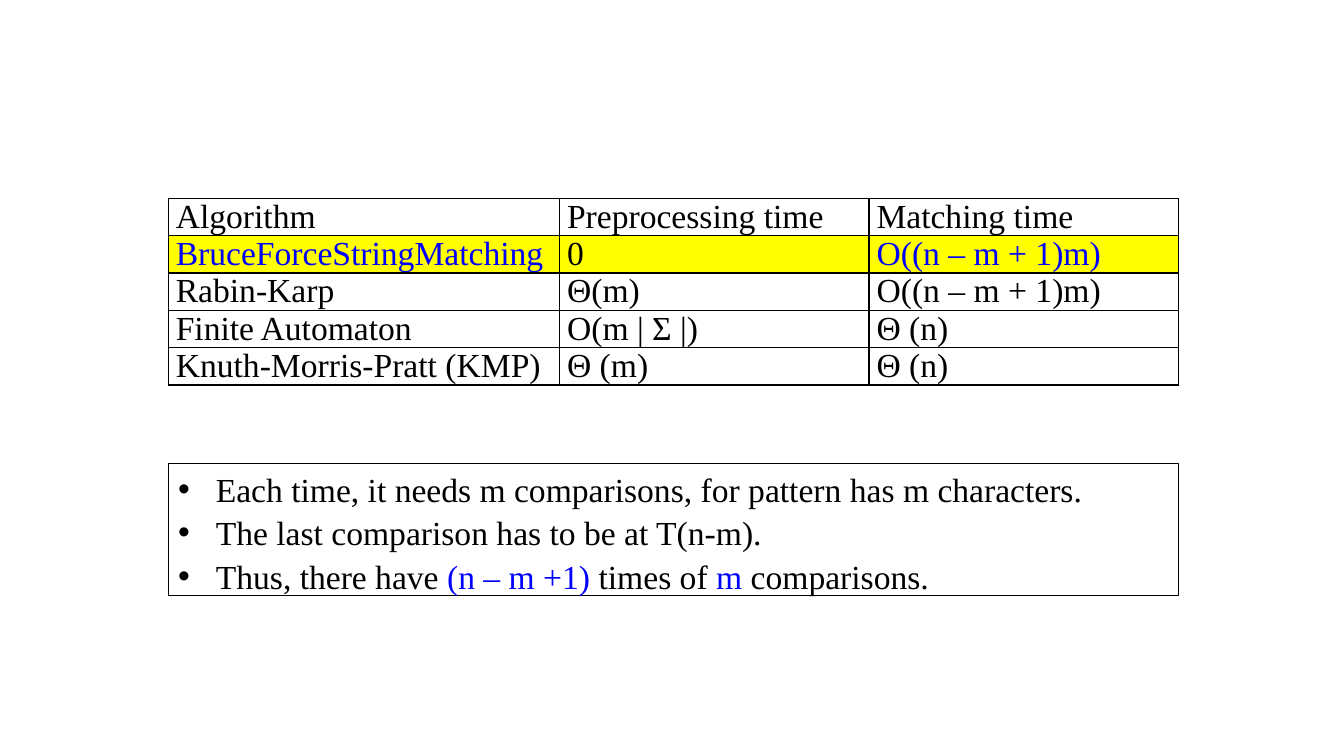
"""Build a slide comparing the running times of string matching algorithms."""
from lxml import etree
from pptx import Presentation
from pptx import util as u
from pptx.dml.color import RGBColor
from pptx.enum import shapes, text
from pptx.oxml.ns import qn

BLACK = RGBColor(0, 0, 0)
BLUE = RGBColor(0, 0, 255)
WHITE = RGBColor(255, 255, 255)
YELLOW = RGBColor(255, 255, 0)
FONT = "Times New Roman"
LEFT = u.Cm(4.24)
COLUMN_WIDTHS = [u.Cm(9.86), u.Cm(7.8), u.Cm(7.8)]
ROW_HEIGHT = u.Cm(0.94)
HIGHLIGHTED_ROW = 1

ALGORITHMS = [
    [("Algorithm", BLACK), ("Preprocessing time", BLACK), ("Matching time", BLACK)],
    [("BruceForceStringMatching", BLUE), ("0", BLACK), ("O((n – m + 1)m)", BLUE)],
    [("Rabin-Karp", BLACK), ("Θ(m)", BLACK), ("O((n – m + 1)m)", BLACK)],
    [("Finite Automaton", BLACK), ("O(m | Σ |)", BLACK), ("Θ (n)", BLACK)],
    [("Knuth-Morris-Pratt (KMP)", BLACK), ("Θ (m)", BLACK), ("Θ (n)", BLACK)],
]
REASONS = [
    [("Each time, it needs m comparisons, for pattern has m characters.", BLACK)],
    [("The last comparison has to be at T(n-m).", BLACK)],
    [("Thus, there have ", BLACK), ("(n – m +1) ", BLUE), ("times of ", BLACK),
     ("m", BLUE), (" comparisons.", BLACK)],
]


def add_span(para, words, color):
    span = para.add_run()
    span.text = words
    span.font.name = FONT
    span.font.size = u.Pt(24)
    span.font.color.rgb = color


def add_borders(cell):
    properties = cell._tc.get_or_add_tcPr()
    for index, side in enumerate(("a:lnL", "a:lnR", "a:lnT", "a:lnB")):
        border = etree.Element(qn(side), w=str(u.Pt(1)))
        fill = etree.SubElement(border, qn("a:solidFill"))
        etree.SubElement(fill, qn("a:srgbClr"), val=str(BLACK))
        properties.insert(index, border)


def fill_cell(cell, words, color, background):
    cell.margin_left = cell.margin_right = u.Cm(0.19)
    cell.margin_top = cell.margin_bottom = 0
    cell.fill.solid()
    cell.fill.fore_color.rgb = background
    add_borders(cell)
    add_span(cell.text_frame.paragraphs[0], words, color)


def add_algorithm_table(page):
    frame = page.shapes.add_table(
        len(ALGORITHMS), len(COLUMN_WIDTHS), LEFT, u.Cm(5),
        sum(COLUMN_WIDTHS), ROW_HEIGHT * len(ALGORITHMS))
    table = frame.table
    table.first_row = table.horz_banding = False
    for column, width in zip(table.columns, COLUMN_WIDTHS):
        column.width = width
    for row_index, entries in enumerate(ALGORITHMS):
        table.rows[row_index].height = ROW_HEIGHT
        background = YELLOW if row_index == HIGHLIGHTED_ROW else WHITE
        for column_index, (words, color) in enumerate(entries):
            fill_cell(table.cell(row_index, column_index), words, color, background)


def add_bullet(para):
    properties = para._p.get_or_add_pPr()
    properties.set("marL", str(u.Cm(0.95)))
    properties.set("indent", str(u.Cm(-0.95)))
    etree.SubElement(properties, qn("a:buFont"), typeface="Arial")
    etree.SubElement(properties, qn("a:buChar"), char="•")


def add_reason_box(page):
    box = page.shapes.add_shape(
        shapes.MSO_SHAPE.RECTANGLE, LEFT, u.Cm(11.68), sum(COLUMN_WIDTHS), u.Cm(3.33))
    box.shadow.inherit = False
    box.fill.solid()
    box.fill.fore_color.rgb = WHITE
    box.line.color.rgb = BLACK
    box.line.width = u.Pt(1)
    frame = box.text_frame
    frame.word_wrap = True
    frame.vertical_anchor = text.MSO_ANCHOR.TOP
    for index, spans in enumerate(REASONS):
        para = frame.add_paragraph() if index else frame.paragraphs[0]
        para.alignment = text.PP_ALIGN.LEFT
        para.space_before = u.Pt(2.4)
        add_bullet(para)
        for words, color in spans:
            add_span(para, words, color)


def main():
    deck = Presentation()
    deck.slide_width = u.Cm(33.87)
    deck.slide_height = u.Cm(19.05)
    page = deck.slides.add_slide(deck.slide_layouts[6])
    add_algorithm_table(page)
    add_reason_box(page)
    deck.save("out.pptx")


if __name__ == "__main__":
    main()
